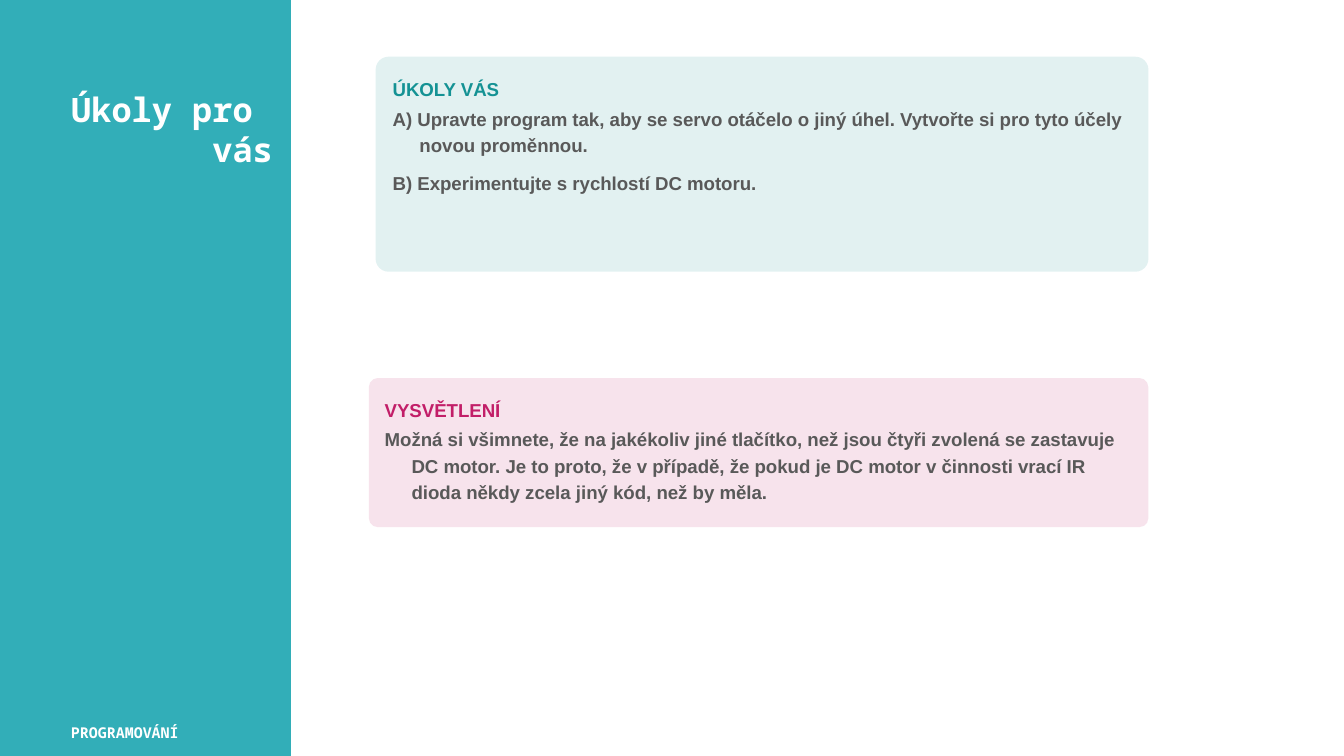
"""Build a task slide with a teal side panel and two tinted cards."""
from typing import NamedTuple

from lxml import etree
from pptx import Presentation
from pptx import util as u
from pptx.dml.color import RGBColor
from pptx.enum import shapes, text
from pptx.oxml.ns import qn

WIDTH = u.Inches(10)
HEIGHT = WIDTH * 9 // 16
PANEL = RGBColor(0x32, 0xAE, 0xB8)
TEAL = RGBColor(0x14, 0x92, 0x94)
PINK = RGBColor(0xC2, 0x1E, 0x68)
GREY = RGBColor(0x59, 0x59, 0x59)
WHITE = RGBColor(0xFF, 0xFF, 0xFF)
MONO, SANS = "Noto Sans Mono", "Arial"
TINT_PERCENT = 12


class Area(NamedTuple):
    """A rectangle in percent of the slide's width and height."""
    left: float
    top: float
    width: float
    height: float

    def emu(self) -> tuple[int, ...]:
        """Return left, top, width and height as lengths."""
        sides = (WIDTH, HEIGHT, WIDTH, HEIGHT)
        return tuple(round(side * share / 100) for side, share in zip(sides, self))


class Card(NamedTuple):
    """A tinted card with a heading and its paragraphs."""
    area: Area
    color: RGBColor
    heading: str
    lines: tuple[str, ...]
    gap: float


CARDS = (
    Card(Area(27.95, 7.5, 57.5, 28.44), TEAL, "ÚKOLY VÁS", (
        "A) Upravte program tak, aby se servo otáčelo o jiný úhel. "
        "Vytvořte si pro tyto účely novou proměnnou.",
        "B) Experimentujte s rychlostí DC motoru."), 6),
    Card(Area(27.45, 50, 58, 19.73), PINK, "VYSVĚTLENÍ", (
        "Možná si všimnete, že na jakékoliv jiné tlačítko, než jsou čtyři zvolená "
        "se zastavuje DC motor. Je to proto, že v případě, že pokud je DC motor "
        "v činnosti vrací IR dioda někdy zcela jiný kód, než by měla.",), 4),
)


def write(paragraph, words: str, *, size: float, color: RGBColor, font: str = SANS,
          align=text.PP_ALIGN.LEFT, spacing=None, before: float = 0,
          after: float = 0, hanging: float = 0) -> None:
    """Fill a paragraph with bold formatted text."""
    paragraph.text = words
    paragraph.alignment = align
    paragraph.line_spacing = spacing
    paragraph.space_before, paragraph.space_after = u.Pt(before), u.Pt(after)
    if hanging:
        properties = paragraph._p.get_or_add_pPr()
        properties.set("marL", str(u.Inches(hanging)))
        properties.set("indent", str(-u.Inches(hanging)))
    for run in paragraph.runs:
        run.font.name, run.font.size, run.font.bold = font, u.Pt(size), True
        run.font.color.rgb = color


def add_block(slide, kind, area: Area, color: RGBColor):
    """Add a filled shape without outline or shadow."""
    block = slide.shapes.add_shape(kind, *area.emu())
    block.shadow.inherit = False
    block.fill.solid()
    block.fill.fore_color.rgb = color
    block.line.fill.background()
    return block


def add_card(slide, card: Card) -> None:
    """Add a rounded translucent card with its text."""
    block = add_block(slide, shapes.MSO_SHAPE.ROUNDED_RECTANGLE, card.area, card.color)
    block.adjustments[0] = 0.06
    tint = block.element.spPr.find(qn("a:solidFill"))[0]
    etree.SubElement(tint, qn("a:alpha"), val=str(TINT_PERCENT * 1000))
    frame = block.text_frame
    frame.word_wrap = True
    frame.vertical_anchor = text.MSO_ANCHOR.TOP
    write(frame.paragraphs[0], card.heading, size=10, color=card.color,
          align=text.PP_ALIGN.JUSTIFY, spacing=u.Pt(18), before=2, after=2)
    for line in card.lines:
        write(frame.add_paragraph(), line, size=10, color=GREY,
              spacing=u.Pt(14), after=card.gap, hanging=0.2)


def main() -> None:
    """Build and save the slide."""
    deck = Presentation()
    deck.slide_width, deck.slide_height = WIDTH, HEIGHT
    slide = deck.slides.add_slide(deck.slide_layouts[5])

    title = slide.shapes.title
    title.left, title.top, title.width, title.height = Area(-0.4, 10.84, 21.7, 28.09).emu()
    title.text_frame.vertical_anchor = text.MSO_ANCHOR.TOP
    title.text_frame.auto_size = text.MSO_AUTO_SIZE.NONE
    write(title.text_frame.paragraphs[0], "Úkoly pro \vvás", size=18, color=WHITE,
          font=MONO, align=text.PP_ALIGN.RIGHT, spacing=1.0)

    panel = add_block(slide, shapes.MSO_SHAPE.RECTANGLE, Area(-0.4, 0, 22.05, 100), PANEL)
    title.element.addprevious(panel.element)

    subject = slide.shapes.add_textbox(*Area(4.3, 94.8, 10, 4.27).emu())
    subject.text_frame.word_wrap = False
    subject.text_frame.margin_right = 0
    subject.text_frame.auto_size = text.MSO_AUTO_SIZE.SHAPE_TO_FIT_TEXT
    write(subject.text_frame.paragraphs[0], "PROGRAMOVÁNÍ", size=8, color=WHITE, font=MONO)

    for card in CARDS:
        add_card(slide, card)
    deck.save("out.pptx")


if __name__ == "__main__":
    main()
